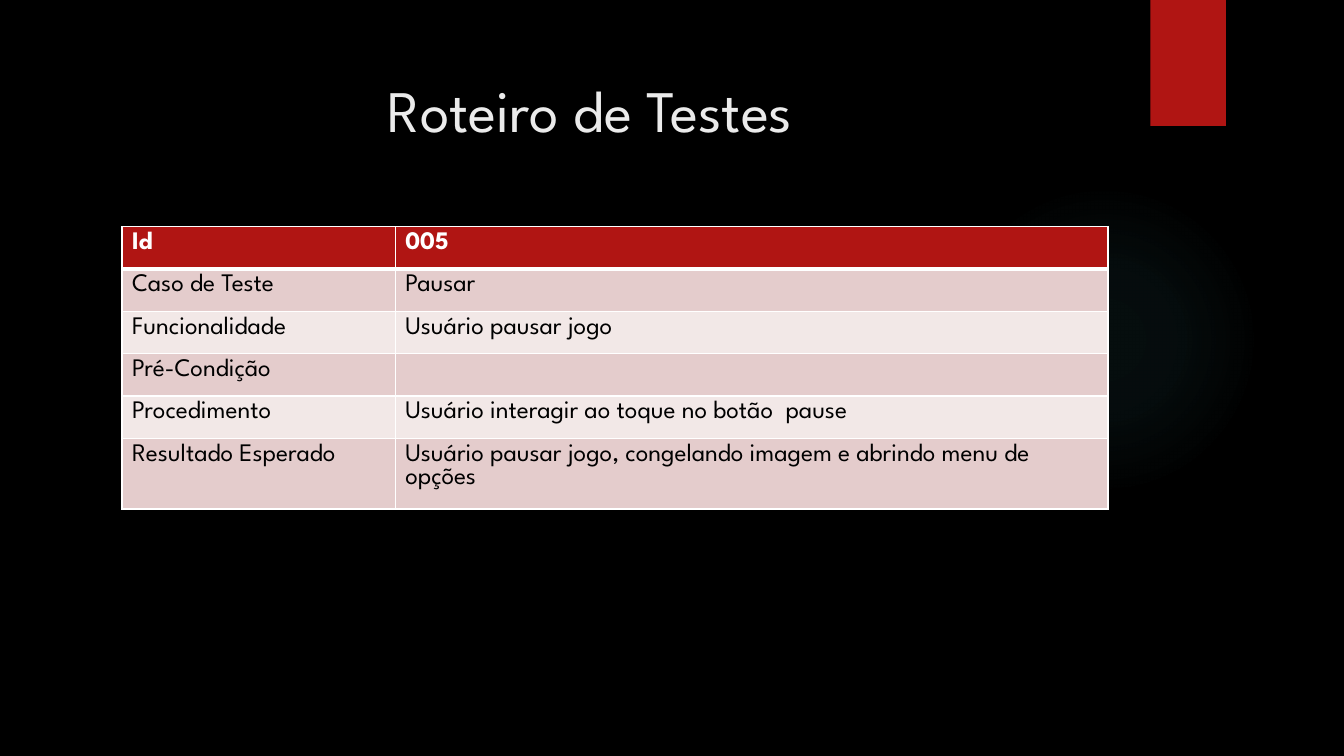
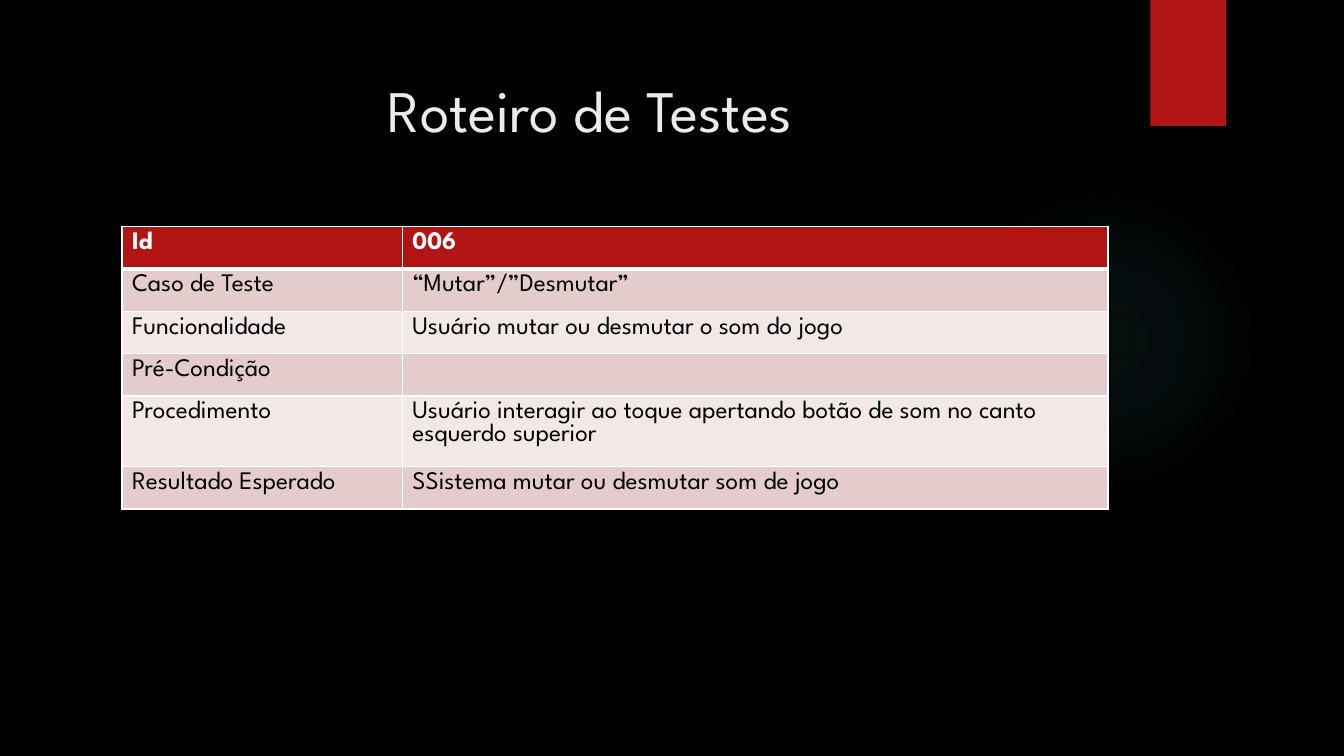
from pptx import Presentation
from pptx import util as u
from pptx.dml.color import RGBColor
from pptx.enum import shapes, text
from pptx.oxml import parse_xml
from pptx.oxml.ns import nsdecls

FONT = "League Spartan"
COLORS = {
    "background": "000000",
    "glow": "50B9C1",
    "accent": "B01513",
    "title": "EBEBEB",
    "white": "FFFFFF",
    "body": "000000",
    "odd_row": "E4CCCC",
    "even_row": "F2E8E7",
}
LABELS = ["Id", "Caso de Teste", "Funcionalidade", "Pré-Condição",
          "Procedimento", "Resultado Esperado"]
ROW_HEIGHT = 0.42
TABLE_BOX = (1.21, 2.25, 9.78)  # left, top, width

TEST_CASES = [
    {
        "values": ["005", "Pausar", "Usuário pausar jogo", "",
                   "Usuário interagir ao toque no botão  pause",
                   "Usuário pausar jogo, congelando imagem e abrindo menu de opções"],
        "label_width": 2.71,
        "tall_rows": {},
    },
    {
        "values": ["006", "“Mutar”/”Desmutar”",
                   "Usuário mutar ou desmutar o som do jogo", "",
                   "Usuário interagir ao toque apertando botão de som no canto esquerdo superior",
                   "SSistema mutar ou desmutar som de jogo"],
        "label_width": 2.78,
        "tall_rows": {4: 0.68},
    },
]


def rgb(name):
    return RGBColor.from_string(COLORS[name])


def add_run(paragraph, content, size, color, bold=False):
    run = paragraph.add_run()
    run.text = content
    run.font.name = FONT
    run.font.size = u.Pt(size)
    run.font.bold = bold
    run.font.color.rgb = rgb(color)


def add_plain_shape(slide, preset, box):
    """Add a shape without line or shadow."""
    shape = slide.shapes.add_shape(preset, *map(u.Inches, box))
    shape.shadow.inherit = False
    shape.line.fill.background()
    return shape


def add_glow(slide, box):
    """Add a circle whose faint colour fades out from its centre."""
    shape = add_plain_shape(slide, shapes.MSO_SHAPE.OVAL, box)
    shape.fill.background()
    stops = "".join(
        f'<a:gs pos="{position * 1000}"><a:srgbClr val="{COLORS["glow"]}">'
        f'<a:alpha val="{alpha * 1000}"/></a:srgbClr></a:gs>'
        for position, alpha in [(0, 7), (36, 6), (69, 0)])
    gradient = parse_xml(
        f'<a:gradFill {nsdecls("a")} rotWithShape="1"><a:gsLst>{stops}</a:gsLst>'
        '<a:path path="circle"><a:fillToRect l="50000" t="50000" r="50000" b="50000"/>'
        '</a:path></a:gradFill>')
    properties = shape._element.spPr
    properties.replace(properties.find("{*}noFill"), gradient)


def add_ribbon(slide, box):
    shape = add_plain_shape(slide, shapes.MSO_SHAPE.RECTANGLE, box)
    shape.fill.solid()
    shape.fill.fore_color.rgb = rgb("accent")
    shape._element.spPr.find("{*}effectLst").append(parse_xml(
        f'<a:outerShdw {nsdecls("a")} blurRad="{u.Pt(3)}" dist="{u.Pt(2)}" dir="5400000" '
        'rotWithShape="0"><a:srgbClr val="000000"><a:alpha val="45000"/></a:srgbClr>'
        '</a:outerShdw>'))


def add_title(slide, content, box):
    frame = slide.shapes.add_textbox(*map(u.Inches, box)).text_frame
    frame.word_wrap = True
    frame.vertical_anchor = text.MSO_ANCHOR.TOP
    frame.margin_top = u.Inches(0.23)
    paragraph = frame.paragraphs[0]
    paragraph.alignment = text.PP_ALIGN.CENTER
    add_run(paragraph, content, 42, "title")


def set_borders(cell, top, bottom):
    """Draw white cell borders; top and bottom are widths in points."""
    properties = cell._tc.get_or_add_tcPr()
    widths = {"lnL": 1, "lnR": 1, "lnT": top, "lnB": bottom}
    for index, (side, width) in enumerate(widths.items()):
        properties.insert(index, parse_xml(
            f'<a:{side} {nsdecls("a")} w="{u.Pt(width)}"><a:solidFill>'
            f'<a:srgbClr val="{COLORS["white"]}"/></a:solidFill></a:{side}>'))


def add_test_table(slide, box, values, label_width, tall_rows):
    left, top, width = box
    heights = [tall_rows.get(row, ROW_HEIGHT) for row in range(len(LABELS))]
    table = slide.shapes.add_table(
        len(LABELS), 2, *map(u.Inches, (left, top, width, sum(heights)))).table
    table.columns[0].width = u.Inches(label_width)
    table.columns[1].width = u.Inches(width - label_width)

    for row, contents in enumerate(zip(LABELS, values)):
        table.rows[row].height = u.Inches(heights[row])
        header = row == 0
        fill = "accent" if header else "odd_row" if row % 2 else "even_row"
        for column, content in enumerate(contents):
            cell = table.cell(row, column)
            cell.fill.solid()
            cell.fill.fore_color.rgb = rgb(fill)
            set_borders(cell, top=3 if row == 1 else 1, bottom=3 if header else 1)
            if content:
                add_run(cell.text_frame.paragraphs[0], content, 18,
                        "white" if header else "body", bold=header)


def add_test_slide(presentation, test_case):
    slide = presentation.slides.add_slide(presentation.slide_layouts[6])
    add_glow(slide, (9.41, 1.83, 3.08, 3.08))
    add_ribbon(slide, (11.41, 0, 0.75, 1.25))
    add_title(slide, "Roteiro de Testes", (0.71, 0.5, 10.29, 1.53))
    add_test_table(slide, TABLE_BOX, **test_case)


def main():
    presentation = Presentation()
    presentation.slide_width = u.Inches(13.33)
    presentation.slide_height = u.Inches(7.5)
    background = presentation.slide_master.background.fill
    background.solid()
    background.fore_color.rgb = rgb("background")
    for test_case in TEST_CASES:
        add_test_slide(presentation, test_case)
    presentation.save("out.pptx")


if __name__ == "__main__":
    main()
